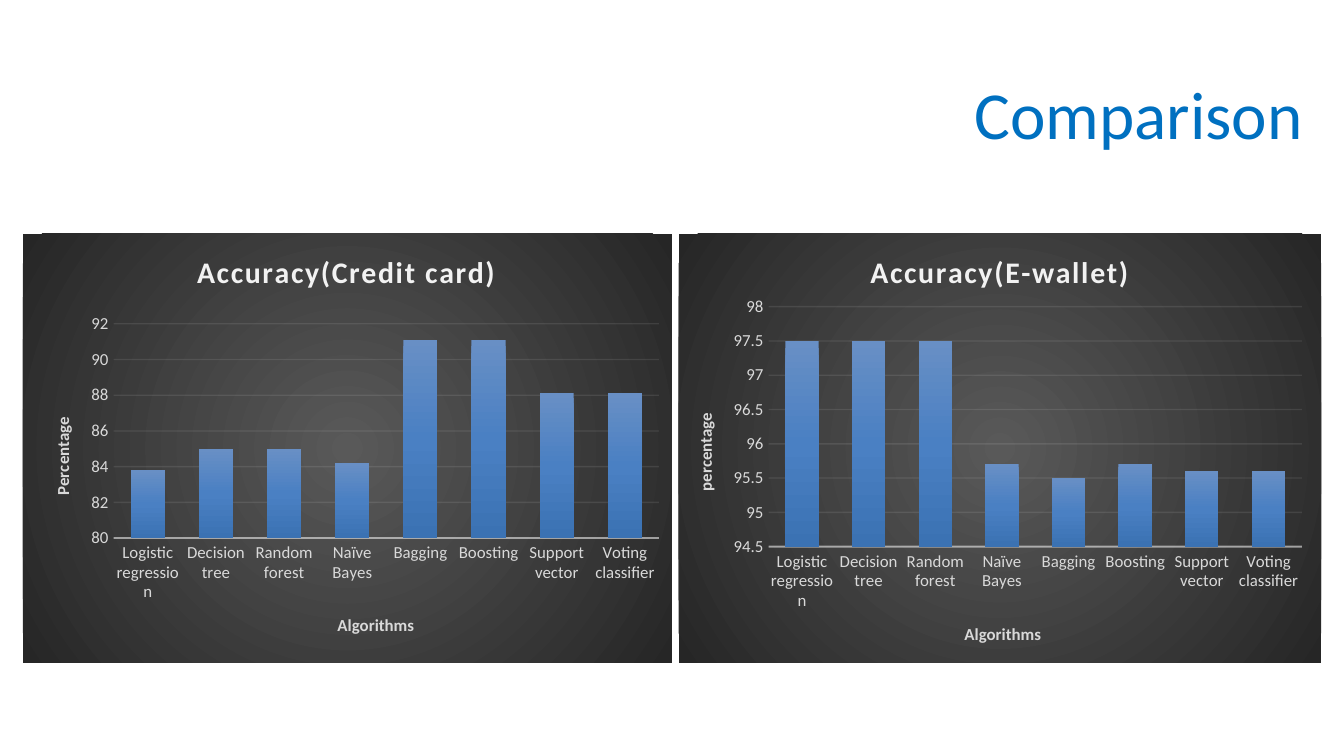
from lxml import etree
from pptx import Presentation
from pptx.chart.data import CategoryChartData
from pptx.dml.color import RGBColor
from pptx.enum.chart import XL_CHART_TYPE as ChartType, XL_TICK_MARK as TickMark
from pptx.enum.text import PP_ALIGN as Align
from pptx.oxml import parse_xml
from pptx.oxml.ns import nsdecls, qn
from pptx.util import Inches, Pt

FONT = "Calibri"
BLUE = RGBColor(0x00, 0x70, 0xC0)
PALE = RGBColor(0xF2, 0xF2, 0xF2)
LIGHT = RGBColor(0xD9, 0xD9, 0xD9)
PANEL_STOPS = [(0, RGBColor(0x59, 0x59, 0x59)), (100, RGBColor(0x26, 0x26, 0x26))]
BAR_STOPS = [(0, RGBColor(0x68, 0x8F, 0xC5)), (50, RGBColor(0x4A, 0x80, 0xC3)),
             (100, RGBColor(0x3B, 0x72, 0xB3))]
RADIAL = ('<a:path path="circle"><a:fillToRect l="50000" t="50000" r="50000" b="50000"/>'
          '</a:path>')
DOWNWARD = '<a:lin ang="5400000" scaled="0"/>'

# Content; positions inside a chart are shares of the chart's size
HEADING = "Comparison"
ALGORITHMS = ["Logistic regression", "Decision tree", "Random forest", "Naïve Bayes",
              "Bagging", "Boosting", "Support vector", "Voting classifier"]
CHARTS = [
    dict(title="Accuracy(Credit card)", value_title="Percentage",
         values=[83.8, 85, 85, 84.2, 91.1, 91.1, 88.1, 88.1],
         scale=(80, 92, 2), left=0.17, width=4.83, plot=(0.14, 0.21, 0.84, 0.5),
         title_at=(0.26, 0.03), category_at=(0.48, 0.88), value_at=(0.04, 0.42)),
    dict(title="Accuracy(E-wallet)", value_title="percentage",
         values=[97.5, 97.5, 97.5, 95.7, 95.5, 95.7, 95.6, 95.6],
         scale=(94.5, 98, 0.5), left=5.05, width=4.78, plot=(0.14, 0.17, 0.83, 0.56),
         title_at=(0.29, 0.03), category_at=(0.44, 0.9), value_at=(0.02, 0.41)),
]
CHART_TOP, CHART_HEIGHT = 1.74, 3.19


def set_font(font, size, color, bold=False):
    font.name, font.size, font.bold = FONT, Pt(size), bold
    font.color.rgb = color


def gradient(properties, stops, direction):
    """Give shape properties a gradient fill and no outline."""
    for child in list(properties):
        properties.remove(child)
    marks = "".join(f'<a:gs pos="{share * 1000}"><a:srgbClr val="{color}"/></a:gs>'
                    for share, color in stops)
    properties.append(parse_xml(
        f'<a:gradFill {nsdecls("a")}><a:gsLst>{marks}</a:gsLst>{direction}</a:gradFill>'))
    etree.SubElement(etree.SubElement(properties, qn("a:ln")), qn("a:noFill"))


def place(position, inner=False):
    """Make a manual layout from x, y and, if given, width and height."""
    target = '<c:layoutTarget val="inner"/>' if inner else ""
    modes = '<c:xMode val="edge"/><c:yMode val="edge"/>'
    sizes = "".join(f'<c:{key} val="{share}"/>' for key, share in zip("xywh", position))
    return parse_xml(f'<c:layout {nsdecls("c")}><c:manualLayout>{target}{modes}{sizes}'
                     '</c:manualLayout></c:layout>')


def replace_layout(parent, layout):
    for old in parent.findall(qn("c:layout")):
        parent.remove(old)
    text = parent.find(qn("c:tx"))
    parent.insert(0 if text is None else parent.index(text) + 1, layout)


def add_title(owner, text, position, size, color):
    title = owner.chart_title if hasattr(owner, "chart_title") else owner.axis_title
    title.text_frame.text = text
    paragraph = title.text_frame.paragraphs[0]
    set_font(paragraph.font, size, color, bold=True)
    replace_layout(title._element, place(position))
    return title.text_frame


def style_line(line, width, percent):
    line.color.rgb, line.width = PALE, Pt(width)
    color = next(line._get_or_add_ln().iter(qn("a:srgbClr")))
    etree.SubElement(color, qn("a:alpha")).set("val", str(percent * 1000))


def add_accuracy_chart(slide, item):
    data = CategoryChartData()
    data.categories = ALGORITHMS
    data.add_series("Series 1", item["values"])
    chart = slide.shapes.add_chart(
        ChartType.COLUMN_CLUSTERED, Inches(item["left"]), Inches(CHART_TOP),
        Inches(item["width"]), Inches(CHART_HEIGHT), data).chart
    chart.has_legend = False
    chart.font.name, chart.font.size = FONT, Pt(10)

    # Dark panel and plot area
    chart_space = chart._chartSpace
    panel = parse_xml(f'<c:spPr {nsdecls("c", "a")}/>')
    chart_space.find(qn("c:chart")).addnext(panel)
    gradient(panel, PANEL_STOPS, RADIAL)
    replace_layout(next(chart_space.iter(qn("c:plotArea"))), place(item["plot"], inner=True))

    # Bars
    plot = chart.plots[0]
    plot.gap_width, plot.overlap, plot.vary_by_categories = 100, -24, False
    series = plot.series[0]
    series.format.fill.solid()
    gradient(series._element.find(qn("c:spPr")), BAR_STOPS, DOWNWARD)

    # Axes
    category_axis, value_axis = chart.category_axis, chart.value_axis
    for axis in (category_axis, value_axis):
        axis.major_tick_mark = axis.minor_tick_mark = TickMark.NONE
        set_font(axis.tick_labels.font, 9, LIGHT)
    style_line(category_axis.format.line, 1, 54)
    value_axis.format.line.fill.background()
    value_axis.has_major_gridlines = True
    style_line(value_axis.major_gridlines.format.line, 0.75, 10)
    value_axis.minimum_scale, value_axis.maximum_scale, value_axis.major_unit = item["scale"]

    # Titles
    heading = add_title(chart, item["title"], item["title_at"], 16, PALE)
    heading.paragraphs[0].font._element.set("spc", "100")
    add_title(category_axis, "Algorithms", item["category_at"], 9, LIGHT)
    upright = add_title(value_axis, item["value_title"], item["value_at"], 9, LIGHT)
    body = upright._txBody.find(qn("a:bodyPr"))
    body.set("rot", "-5400000")
    body.set("vert", "horz")


# Widescreen slide, 16 by 9
presentation = Presentation()
presentation.slide_width = Inches(10)
presentation.slide_height = presentation.slide_width * 9 // 16
slide = presentation.slides.add_slide(presentation.slide_layouts[6])

# Heading
frame = slide.shapes.add_textbox(Inches(5.97), Inches(0.49), Inches(3.82), Inches(0.71)).text_frame
frame.word_wrap = True
frame.text = HEADING
paragraph = frame.paragraphs[0]
paragraph.alignment = Align.RIGHT
set_font(paragraph.font, 36, BLUE)

for item in CHARTS:
    add_accuracy_chart(slide, item)

presentation.save("out.pptx")
